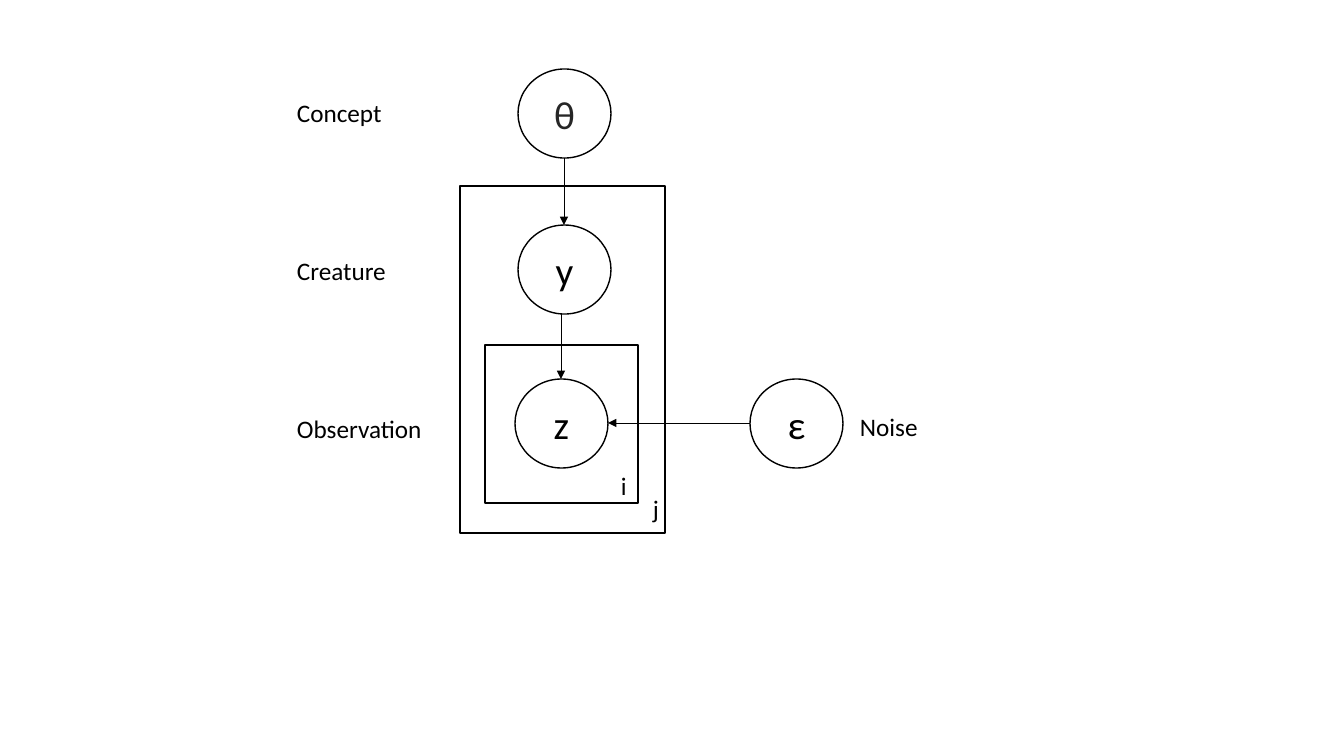
from lxml.etree import SubElement
from pptx import Presentation
from pptx.dml.color import RGBColor
from pptx.enum.shapes import MSO_CONNECTOR, MSO_SHAPE
from pptx.enum.text import MSO_ANCHOR, MSO_AUTO_SIZE, PP_ALIGN
from pptx.oxml.ns import qn
from pptx.util import Inches, Pt

PX_PER_INCH = 100.8
FONT = "Calibri"
COLORS = {"ink": "000000", "theta": "262626"}
NODE_WIDTH, NODE_HEIGHT = 93, 89


def px(length):
    return Inches(length / PX_PER_INCH)


def color(name):
    return RGBColor.from_string(COLORS[name])


def set_text(frame, text, size, ink="ink", align=PP_ALIGN.LEFT):
    frame.word_wrap = True
    para = frame.paragraphs[0]
    para.text = text
    para.alignment = align
    para.font.name = FONT
    para.font.size = Pt(size)
    para.font.color.rgb = color(ink)


def add_outline(page, kind, left, top, width, height):
    shape = page.shapes.add_shape(kind, px(left), px(top), px(width), px(height))
    shape.shadow.inherit = False
    shape.fill.background()
    shape.line.color.rgb = color("ink")
    shape.line.width = Pt(1)
    return shape


def add_node(page, symbol, left, top, ink="ink"):
    node = add_outline(page, MSO_SHAPE.OVAL, left, top, NODE_WIDTH, NODE_HEIGHT)
    node.text_frame.vertical_anchor = MSO_ANCHOR.MIDDLE
    set_text(node.text_frame, symbol, 28, ink, PP_ALIGN.CENTER)


def add_label(page, text, left, top, width, height=40):
    box = page.shapes.add_textbox(px(left), px(top), px(width), px(height))
    set_text(box.text_frame, text, 18)
    box.text_frame.auto_size = MSO_AUTO_SIZE.SHAPE_TO_FIT_TEXT


def add_arrow(page, start_x, start_y, end_x, end_y):
    arrow = page.shapes.add_connector(
        MSO_CONNECTOR.STRAIGHT, px(start_x), px(start_y), px(end_x), px(end_y)
    )
    arrow.line.color.rgb = color("ink")
    arrow.line.width = Pt(0.5)
    SubElement(arrow.line._get_or_add_ln(), qn("a:tailEnd"), type="triangle")
    SubElement(arrow._element.spPr, qn("a:effectLst"))


def main():
    deck = Presentation()
    deck.slide_width, deck.slide_height = px(1344), px(756)
    page = deck.slides.add_slide(deck.slide_layouts[6])

    add_node(page, "θ", 518, 69, "theta")
    add_node(page, "y", 518, 225)
    add_node(page, "z", 515, 379)
    add_node(page, "ε", 750, 379)

    add_arrow(page, 564, 158, 564, 225)
    add_arrow(page, 561, 314, 561, 379)
    add_arrow(page, 750, 423, 608, 423)

    add_outline(page, MSO_SHAPE.RECTANGLE, 460, 186, 205, 347)
    add_label(page, "j", 643, 488, 69, 44)
    add_outline(page, MSO_SHAPE.RECTANGLE, 485, 345, 153, 158)
    add_label(page, "i", 611, 465, 30, 44)

    for row, name in enumerate(("Concept", "Creature", "Observation")):
        add_label(page, name, 287, 92 + 158 * row, 161)
    add_label(page, "Noise", 850, 406, 221)

    deck.save("out.pptx")


if __name__ == "__main__":
    main()
